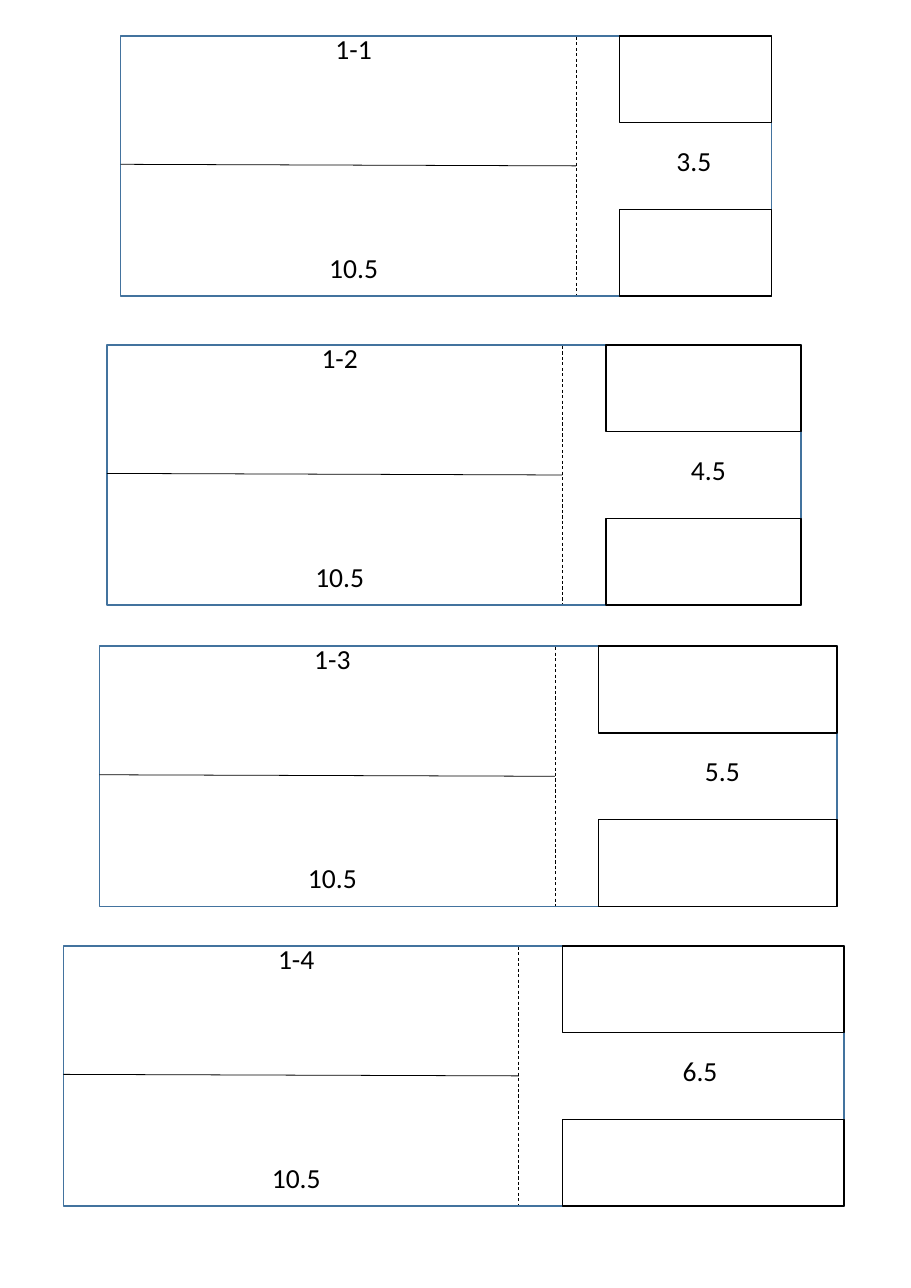
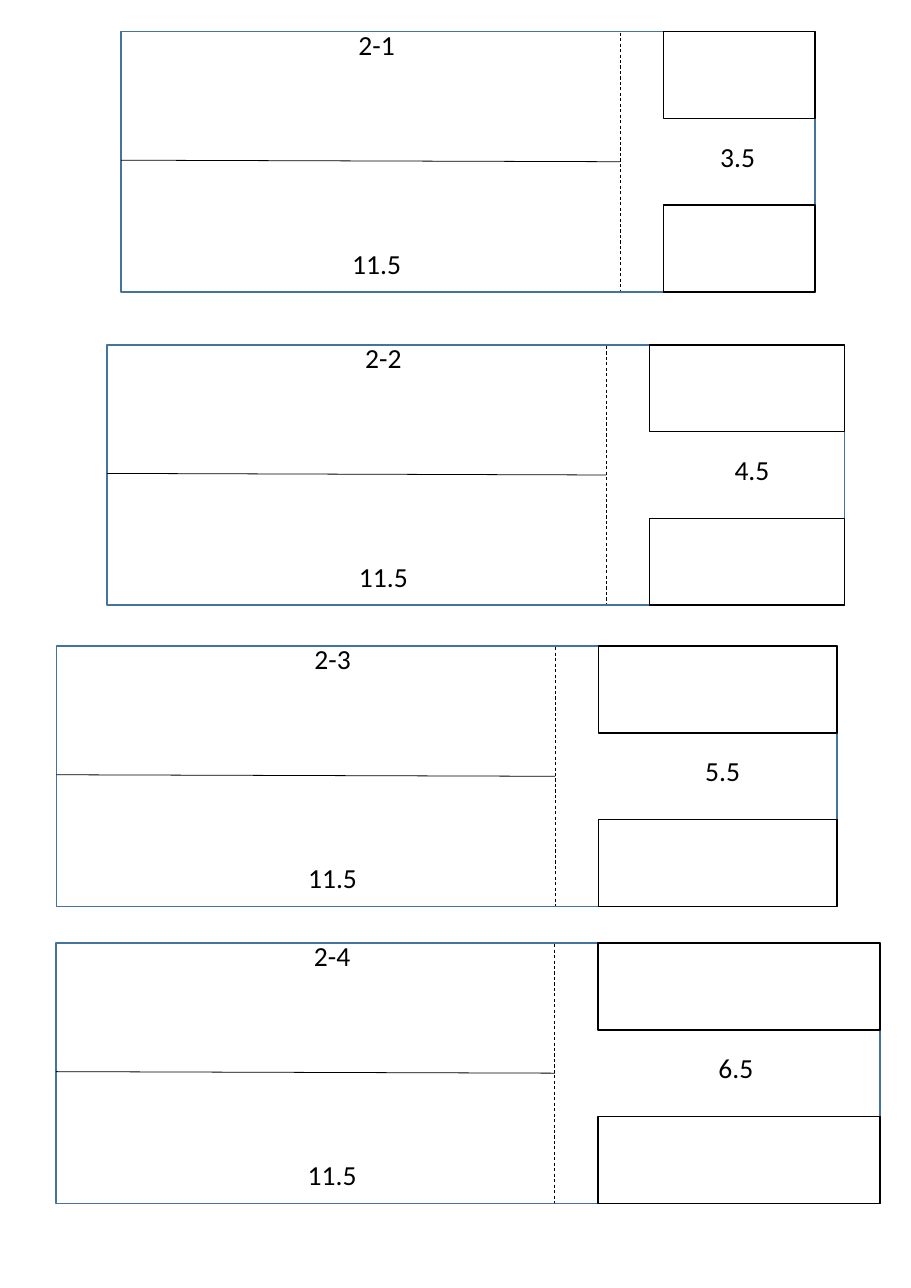
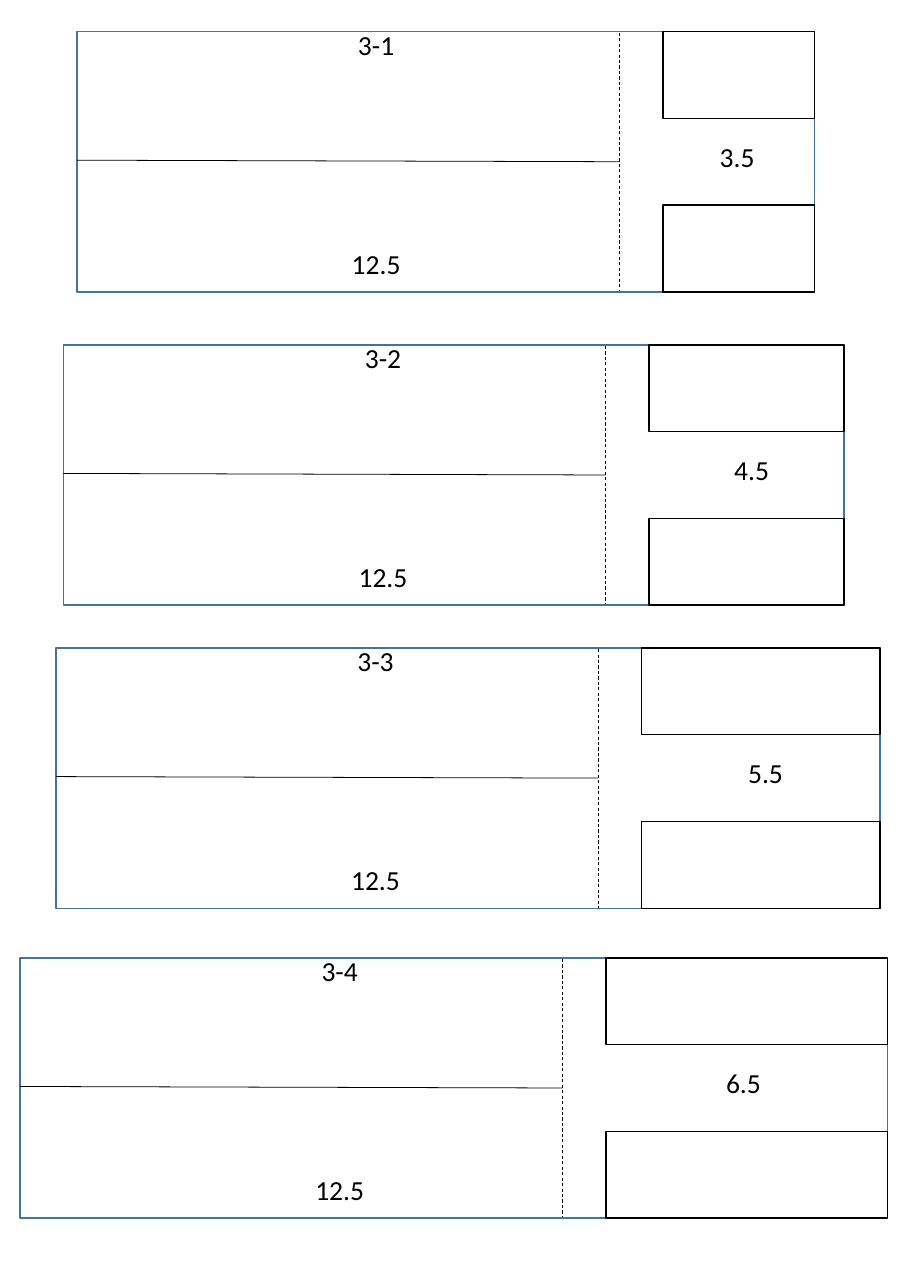
from lxml.etree import SubElement
from pptx import Presentation
from pptx.dml.color import RGBColor
from pptx.enum.dml import MSO_LINE
from pptx.enum.shapes import MSO_CONNECTOR, MSO_SHAPE
from pptx.enum.text import MSO_ANCHOR, PP_ALIGN
from pptx.oxml.ns import qn
from pptx.util import Pt

COLORS = {"frame": "43739E", "ink": "000000"}
FONT = "Calibri"
CM = 28.35
CARD_H = 6 * CM
FLAP_H = 2 * CM
GAP = CM
LABEL_W, LABEL_H = 40, 22
LABEL_BACK = 145.5
TABS = [(3.5, 48.5), (4.5, 67), (5.5, 81), (6.5, 90)]

SHEETS = [
    (10.5, [(78.9, 23.4), (69.8, 225.4), (65, 422.3), (41.4, 618.1)], LABEL_BACK),
    (11.5, [(79.1, 20.7), (70, 225.4), (36.8, 422.3), (36.5, 616.3)], 159),
    (12.5, [(50.4, 20.7), (41.4, 225.4), (36.5, 423.5), (13.1, 626)], 159),
]


def add_rect(box, x, y, w, h, color):
    """Draw an unfilled outlined rectangle."""
    sp = box.shapes.add_shape(MSO_SHAPE.RECTANGLE, Pt(x), Pt(y), Pt(w), Pt(h))
    sp.shadow.inherit = False
    sp.fill.background()
    sp.line.color.rgb = RGBColor.from_string(COLORS[color])
    sp.line.width = Pt(1)


def add_line(box, x1, y1, x2, y2, dash=None):
    """Draw a thin straight line, optionally dashed."""
    ln = box.shapes.add_connector(MSO_CONNECTOR.STRAIGHT, Pt(x1), Pt(y1), Pt(x2), Pt(y2))
    ln.line.color.rgb = RGBColor.from_string(COLORS["ink"])
    ln.line.width = Pt(0.5)
    if dash:
        ln.line.dash_style = dash
    SubElement(ln._element.spPr, qn("a:effectLst"))


def add_text(box, text, cx, cy, size=18, color="ink"):
    """Write a label centred on a point."""
    sp = box.shapes.add_textbox(Pt(cx - LABEL_W / 2), Pt(cy - LABEL_H / 2), Pt(LABEL_W), Pt(LABEL_H))
    tf = sp.text_frame
    tf.word_wrap = True
    tf.margin_left = tf.margin_right = tf.margin_top = tf.margin_bottom = 0
    tf.vertical_anchor = MSO_ANCHOR.MIDDLE
    p = tf.paragraphs[0]
    p.alignment = PP_ALIGN.CENTER
    r = p.add_run()
    r.text = text
    r.font.name = FONT
    r.font.size = Pt(size)
    r.font.color.rgb = RGBColor.from_string(COLORS[color])


def add_card(s, x, y, name, body, tab, label_back, tab_label):
    """Draw one cutting card: body, fold line, and a tab between two flaps."""
    box = s.shapes.add_group_shape()
    fold = x + body * CM
    flap = fold + GAP
    add_rect(box, x, y, body * CM + GAP + tab * CM, CARD_H, "frame")
    add_line(box, x, y + 84, fold, y + 85)
    for top in (y + CARD_H - FLAP_H, y):
        add_rect(box, flap, top, tab * CM, FLAP_H, "ink")
    add_text(box, str(body), fold - label_back, y + 151.3)
    add_text(box, str(tab), flap + tab_label, y + 81.5)
    add_text(box, name, fold - label_back, y + 8.3)
    add_line(box, fold, y + 0.7, fold, y + 169.6, dash=MSO_LINE.DASH)


def add_sheet(prs, number, body, corners, first_back):
    """Add a slide with one card for each tab width."""
    s = prs.slides.add_slide(prs.slide_layouts[6])
    for i, ((x, y), (tab, tab_label)) in enumerate(zip(corners, TABS), 1):
        back = first_back if i == 1 else LABEL_BACK
        add_card(s, x, y, f"{number}-{i}", body, tab, back, tab_label)


def main():
    """Build the deck."""
    prs = Presentation()
    prs.slide_width, prs.slide_height = Pt(595.3), Pt(841.7)
    for number, sheet in enumerate(SHEETS, 1):
        add_sheet(prs, number, *sheet)
    prs.save("out.pptx")


if __name__ == "__main__":
    main()
